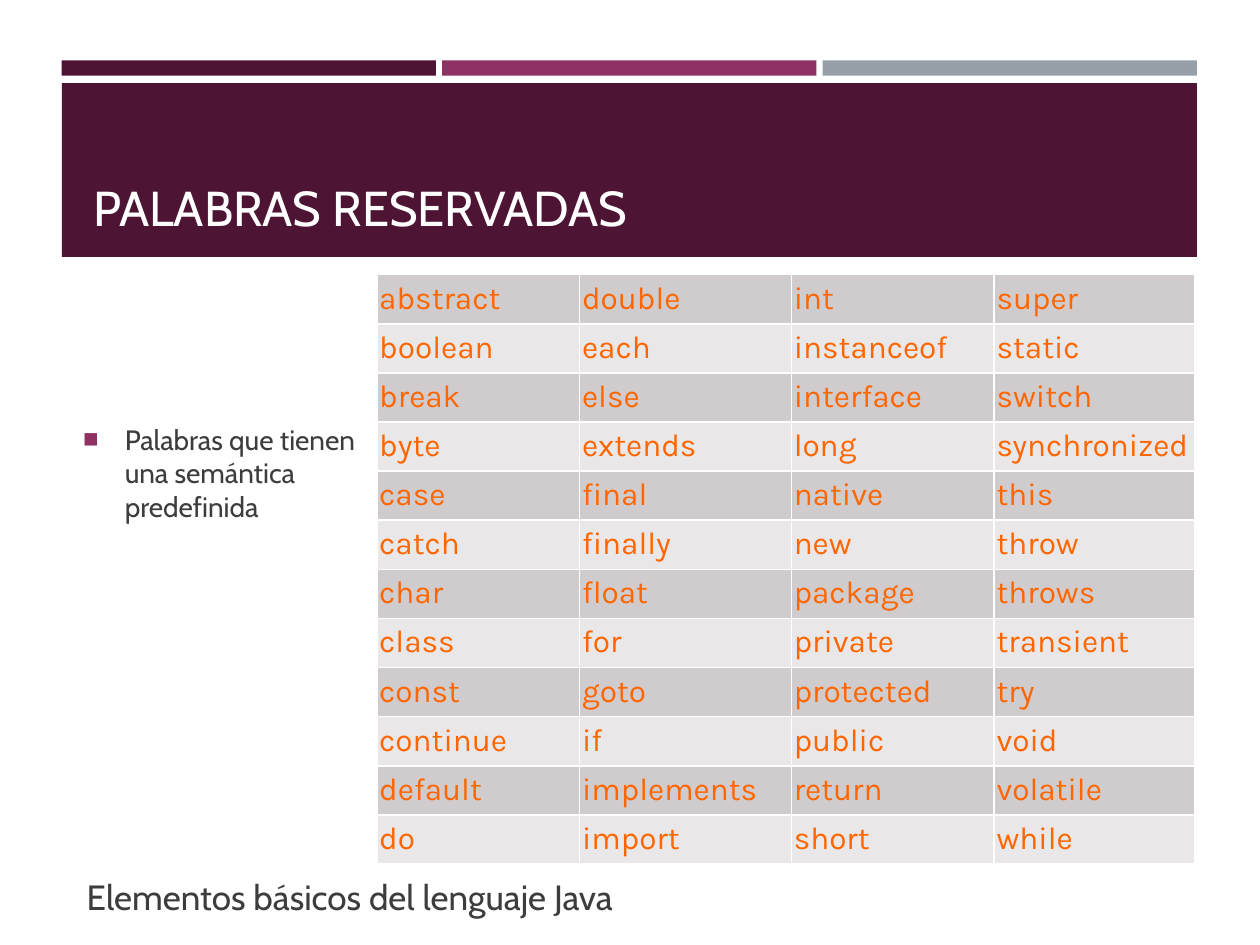
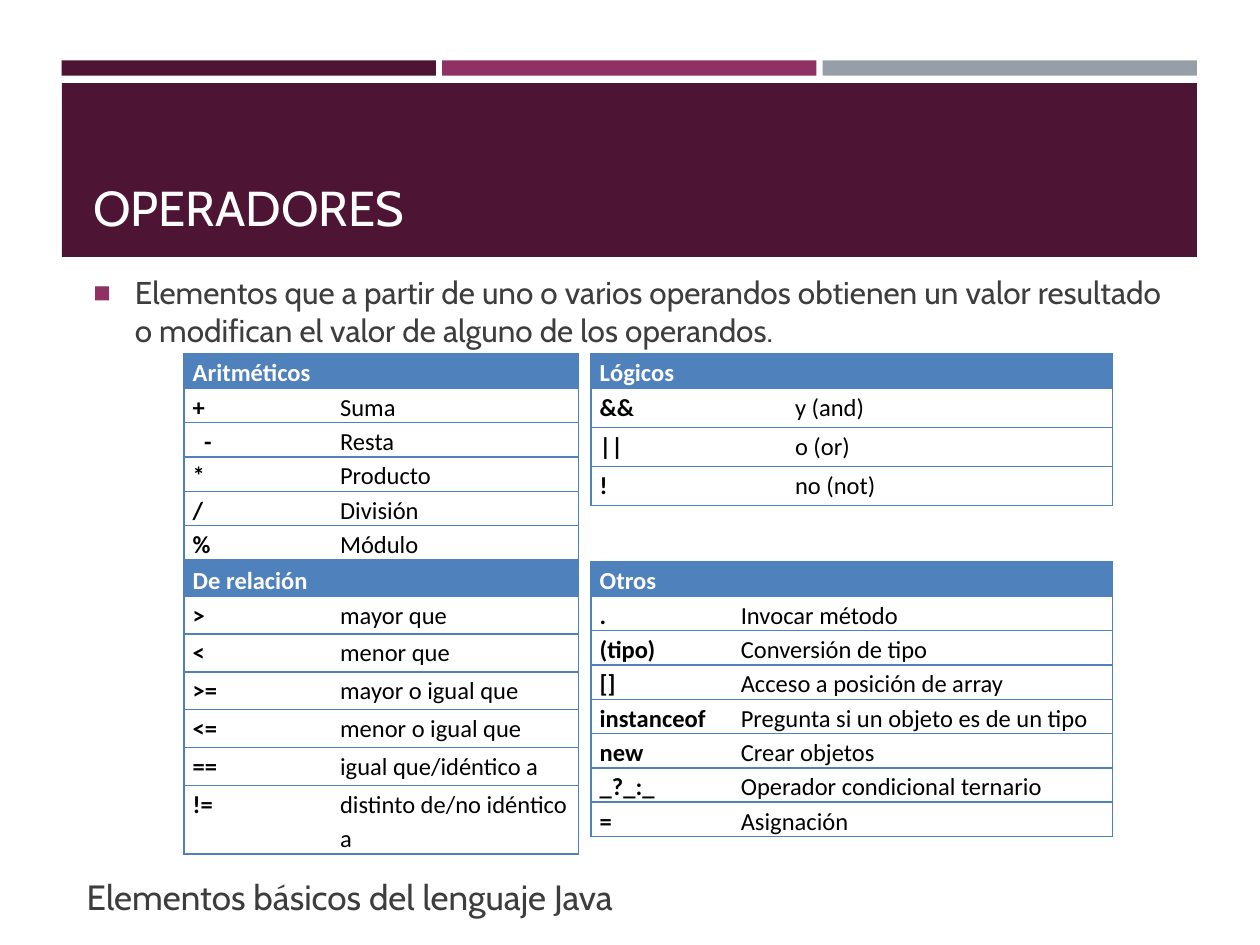
from lxml.etree import SubElement
from pptx import Presentation
from pptx.dml.color import RGBColor
from pptx.enum.shapes import MSO_SHAPE as Shape
from pptx.enum.text import MSO_ANCHOR as Anchor, MSO_AUTO_SIZE as AutoSize, PP_ALIGN as Align
from pptx.oxml.ns import qn
from pptx.util import Inches, Pt

COLORS = {
    "plum": "4D1434", "magenta": "903163", "slate": "969FA7",
    "text": "3D3D3D", "white": "FFFFFF", "black": "000000",
    "orange": "FF6600", "dark row": "D0CCCE", "light row": "E9E7E8",
    "blue": "4F81BD",
}
FONTS = {
    "title": {"name": "Cabin", "size": Pt(28), "color": "white"},
    "footer": {"name": "Cabin", "size": Pt(20), "color": "text"},
    "keyword": {"name": "Karla", "size": Pt(18), "color": "orange"},
    "heading": {"name": "Calibri", "size": Pt(14), "bold": True, "color": "white"},
    "symbol": {"name": "Calibri", "size": Pt(14), "bold": True, "color": "black"},
    "meaning": {"name": "Calibri", "size": Pt(14), "bold": False, "color": "black"},
}
FOOTER = "Elementos básicos del lenguaje Java"

PAGES = [
    {"title": "Palabras reservadas".upper(),
     "body": "Palabras que tienen una semántica predefinida",
     "body at": (0.2, 3.33, 2.79, 1.18), "body size": 16, "margin": 0.69},
    {"title": "Operadores".upper(),
     "body": "Elementos que a partir de uno o varios operandos obtienen un valor "
             "resultado o modifican el valor de alguno de los operandos.",
     "body at": (0.64, 2.15, 8.74, 0.65), "body size": 18, "margin": 0.33},
]

KEYWORD_COLUMNS = [
    "abstract boolean break byte case catch char class const continue default do",
    "double each else extends final finally float for goto if implements import",
    "int instanceof interface long native new package private protected public return short",
    "super static switch synchronized this throw throws transient try void volatile while",
]

LEFT, RIGHT = 1.46, 4.69
UPPER, LOWER = 2.81, 4.46
OPERATOR_TABLES = [
    {"heading": "Aritméticos", "at": (LEFT, UPPER), "widths": (1.17, 1.96), "row": 0.25,
     "rows": [("+", "Suma"), ("-", "Resta"), ("*", "Producto"),
              ("/", "División"), ("%", "Módulo")]},
    {"heading": "Lógicos", "at": (RIGHT, UPPER), "widths": (1.55, 2.59), "row": 0.31,
     "rows": [("&&", "y (and)"), ("||", "o (or)"), ("!", "no (not)")]},
    {"heading": "De relación", "at": (LEFT, LOWER), "widths": (1.17, 1.96), "row": 0.3,
     "rows": [(">", "mayor que"), ("<", "menor que"), (">=", "mayor o igual que"),
              ("<=", "menor o igual que"), ("==", "igual que/idéntico a"),
              ("!=", "distinto de/no idéntico a")]},
    {"heading": "Otros", "at": (RIGHT, LOWER), "widths": (1.12, 3.02), "row": 0.25,
     "rows": [(".", "Invocar método"), ("(tipo)", "Conversión de tipo"),
              ("[]", "Acceso a posición de array"),
              ("instanceof", "Pregunta si un objeto es de un tipo"),
              ("new", "Crear objetos"), ("_?_:_", "Operador condicional ternario"),
              ("=", "Asignación")]},
]


def write(frame, text, style):
    """Put one formatted paragraph in a text frame and return it."""
    para = frame.paragraphs[0]
    para.alignment = Align.LEFT
    span = para.add_run()
    span.text = text
    for key, value in style.items():
        if key == "color":
            span.font.color.rgb = RGBColor.from_string(COLORS[value])
        else:
            setattr(span.font, key, value)
    return para


def fill_cell(cell, text, style, margin, edge, sides="LRTB", fill=None):
    """Format a table cell; only the given sides get a visible border."""
    cell.margin_left = cell.margin_right = Inches(margin)
    cell.margin_top = cell.margin_bottom = 0
    if text:
        para = write(cell.text_frame, text, style)
        para.line_spacing = 1.15
    properties = cell._tc.get_or_add_tcPr()
    for side in "LRTB":
        line = SubElement(properties, qn(f"a:ln{side}"), w=str(Pt(1)))
        if side in sides:
            solid = SubElement(line, qn("a:solidFill"))
            SubElement(solid, qn("a:srgbClr"), val=COLORS[edge])
        else:
            SubElement(line, qn("a:noFill"))
    if fill:
        cell.fill.solid()
        cell.fill.fore_color.rgb = RGBColor.from_string(COLORS[fill])
    else:
        cell.fill.background()


deck = Presentation()
deck.slide_width, deck.slide_height = Inches(10), Inches(7.5)
layout = deck.slide_layouts[1]
slides = [deck.slides.add_slide(layout) for page in PAGES]

# Bands and footer are drawn once and moved to the shared layout
shapes = slides[0].shapes
bands = [(0.49 + 3.02 * i, 0.48, 2.97, 0.12, color)
         for i, color in enumerate(("plum", "magenta", "slate"))]
bands.append((0.49, 0.66, 9.01, 1.38, "plum"))
shared = []
for *place, color in bands:
    band = shapes.add_shape(Shape.RECTANGLE, *map(Inches, place))
    band.shadow.inherit = False
    band.fill.solid()
    band.fill.fore_color.rgb = RGBColor.from_string(COLORS[color])
    band.line.fill.background()
    shared.append(band)
footer = shapes.add_textbox(*map(Inches, (0.59, 6.78, 9, 0.55)))
footer.text_frame.word_wrap = True
footer.text_frame.vertical_anchor = Anchor.BOTTOM
write(footer.text_frame, FOOTER, FONTS["footer"])
shared.append(footer)
for position, shape in enumerate(shared, start=2):
    layout.shapes._spTree.insert(position, shape._element)

# Titles and bulleted text
for slide, page in zip(slides, PAGES):
    title, body = slide.shapes.title, slide.placeholders[1]
    for box, place in ((title, (0.64, 0.75, 8.74, 1.18)), (body, page["body at"])):
        box.left, box.top, box.width, box.height = map(Inches, place)
        box.text_frame.word_wrap = True
        box.text_frame.auto_size = AutoSize.NONE
    title.text_frame.vertical_anchor = Anchor.BOTTOM
    write(title.text_frame, page["title"], FONTS["title"])

    body.text_frame.vertical_anchor = Anchor.TOP
    body.text_frame.margin_top = Inches(0.02)
    para = write(body.text_frame, page["body"],
                 {"name": "Cabin", "size": Pt(page["body size"]), "color": "text"})
    para.space_before, para.space_after = Pt(0), Pt(6)
    properties = para._p.get_or_add_pPr()
    properties.set("marL", str(Inches(page["margin"])))
    properties.set("indent", str(Inches(-0.33)))
    bullet_color = SubElement(properties, qn("a:buClr"))
    SubElement(bullet_color, qn("a:srgbClr"), val=COLORS["magenta"])
    SubElement(properties, qn("a:buSzPct"), val="92000")
    SubElement(properties, qn("a:buChar"), char="■")

keyword_slide, operator_slide = slides

# Reserved words
columns = [column.split() for column in KEYWORD_COLUMNS]
row_count = len(columns[0])
frame = keyword_slide.shapes.add_table(
    row_count, len(columns), *map(Inches, (2.99, 2.18, 6.49, 4.69)))
table = frame.table
table.first_row = table.horz_banding = False
for c, (width, words) in enumerate(zip((1.61, 1.68, 1.61, 1.59), columns)):
    table.columns[c].width = Inches(width)
    for r, word in enumerate(words):
        fill_cell(table.cell(r, c), word, FONTS["keyword"], 0.02, "white",
                  fill="light row" if r % 2 else "dark row")
for row in table.rows:
    row.height = Inches(0.39)

# Operators
for group in OPERATOR_TABLES:
    heights = [0.25] + [group["row"]] * len(group["rows"])
    size = (sum(group["widths"]), sum(heights))
    frame = operator_slide.shapes.add_table(
        len(heights), 2, *map(Inches, group["at"] + size))
    table = frame.table
    table.first_row = table.horz_banding = False
    for column, width in zip(table.columns, group["widths"]):
        column.width = Inches(width)
    for row, height in zip(table.rows, heights):
        row.height = Inches(height)
    table.cell(0, 0).merge(table.cell(0, 1))
    for c, text in enumerate((group["heading"], "")):
        fill_cell(table.cell(0, c), text, FONTS["heading"], 0.07, "blue", fill="blue")
    for r, (symbol, meaning) in enumerate(group["rows"], start=1):
        fill_cell(table.cell(r, 0), symbol, FONTS["symbol"], 0.07, "blue", "LTB")
        fill_cell(table.cell(r, 1), meaning, FONTS["meaning"], 0.07, "blue", "RTB")
        if symbol == "-":
            table.cell(r, 0).margin_left = Inches(0.16)

deck.save("out.pptx")
